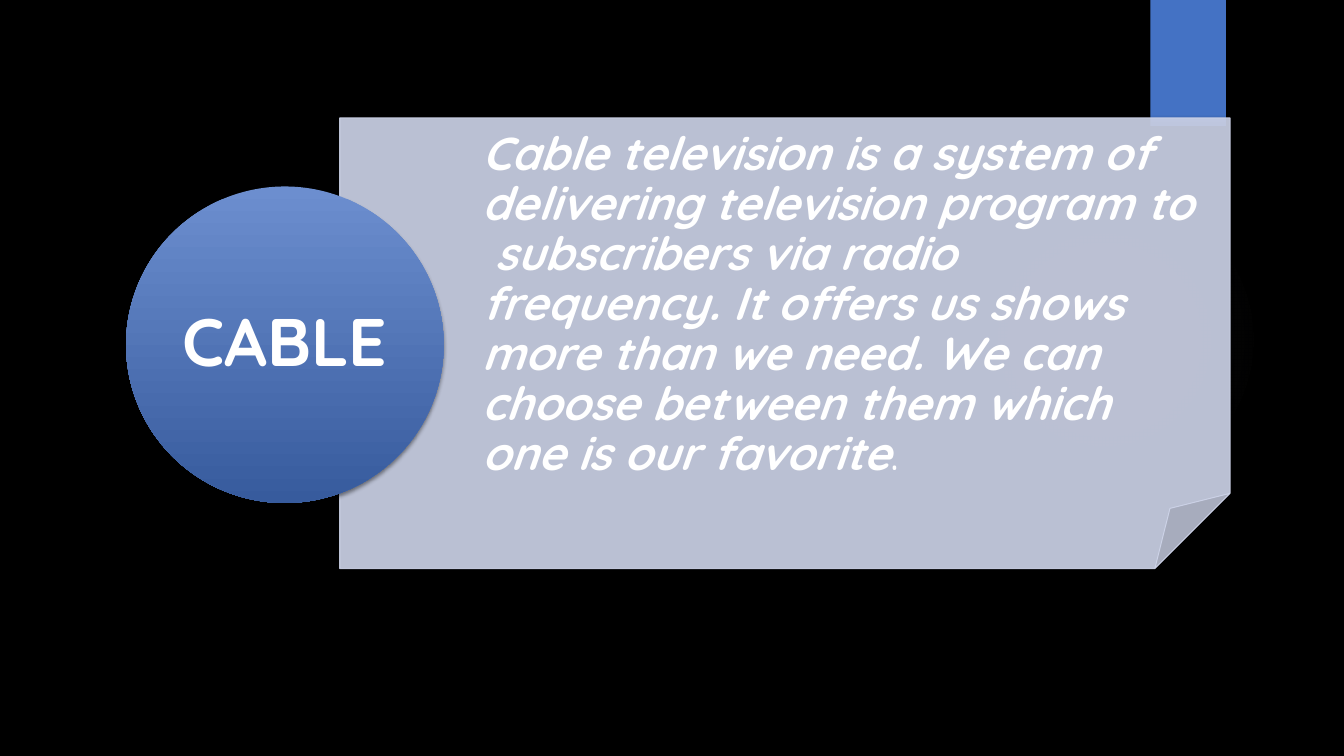
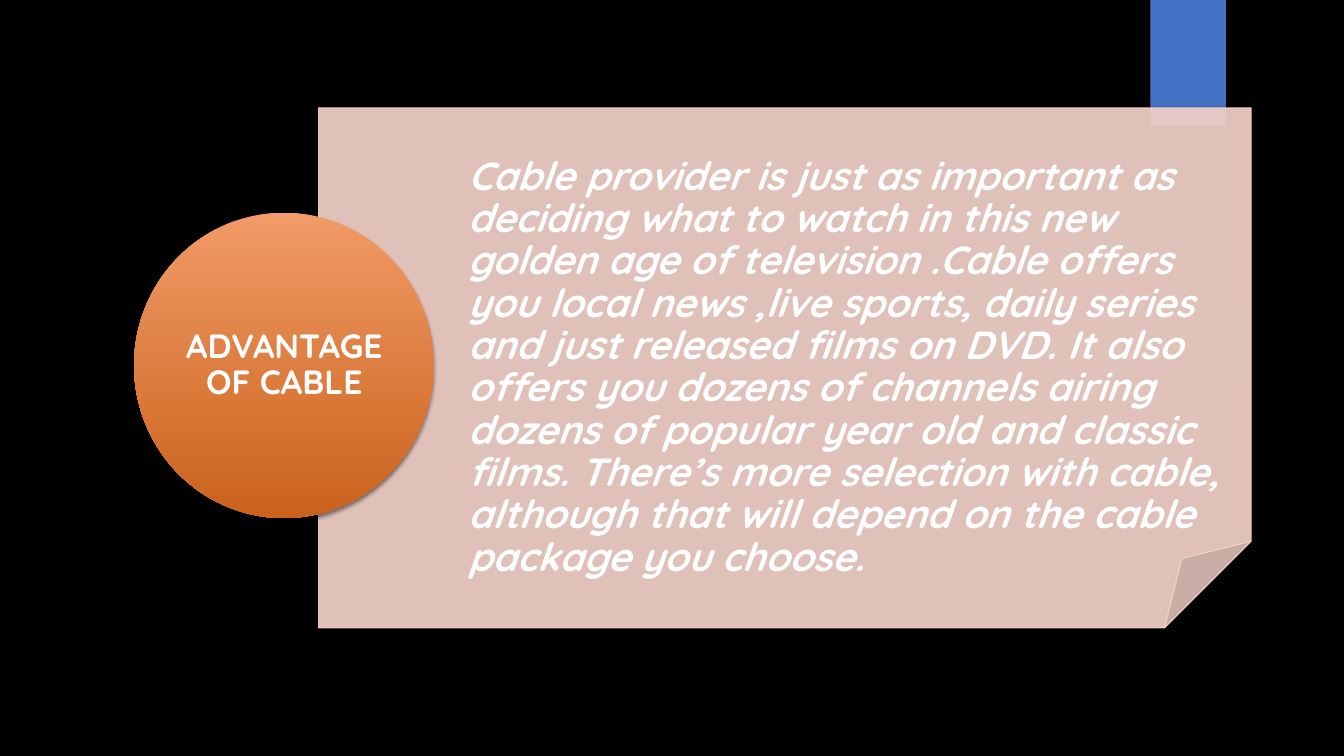
from lxml import etree
from pptx import Presentation
from pptx.dml.color import RGBColor
from pptx.enum.shapes import MSO_SHAPE as Preset
from pptx.enum.text import MSO_ANCHOR as Anchor, PP_ALIGN as Align
from pptx.oxml import parse_xml
from pptx.oxml.ns import nsdecls, qn
from pptx.util import Inches, Pt

FONT = "Quicksand"
BLACK, WHITE, BLUE, GLOW = "000000", "FFFFFF", "4472C4", "8497B0"

# Content: boxes are left, top, width, height; a run is text and emphasis
SLIDES = [
    dict(
        title="CABLE", title_size=48, title_box=(1.71, 2.31, 2.23, 2.22),
        circle=(1.25, 1.85, 3.15, 3.14), circle_colors=("6C8ECF", "375B9D"),
        note=(3.37, 1.17, 8.83, 4.47), note_color="CFD5EA",
        body_box=(4.78, 1.17, 7.42, 3.72), body_size=33, inset=0.26,
        body=[("Cable television is a system of delivering television program "
               "to  subscribers via radio frequency. It offers us shows more "
               "than we need. We can choose between them which one is our "
               "favorite", True), (".", False)],
    ),
    dict(
        title="ADVANTAGE OF CABLE", title_size=24,
        title_box=(1.77, 2.56, 2.1, 2.14),
        circle=(1.33, 2.11, 2.97, 3.03), circle_colors=("F19B67", "CA621C"),
        note=(3.16, 1.07, 9.25, 5.16), note_color="F8D7CE",
        body_box=(4.64, 1.07, 7.77, 5.16), body_size=28, inset=0.22,
        body=[("Cable provider is just as important as deciding what to watch "
               "in this new golden age of television .Cable offers you local "
               "news ,live sports, daily series and just released films on "
               "DVD. It also offers you dozens of channels airing dozens of "
               "popular year old and classic films. There’s more selection "
               "with cable, although that will depend on the cable package "
               "you choose.", True)],
    ),
]


def rgb(color):
    return RGBColor.from_string(color)


def add_shape(slide, preset, place, color=None):
    shape = slide.shapes.add_shape(preset, *map(Inches, place))
    shape.shadow.inherit = False
    shape.line.fill.background()
    if color:
        shape.fill.solid()
        shape.fill.fore_color.rgb = rgb(color)
    else:
        shape.fill.background()
    return shape


def set_gradient(shape, stops, direction):
    """Fill with stops of (percent, colour, opacity percent)."""
    marks = "".join(
        f'<a:gs pos="{at * 1000}"><a:srgbClr val="{color}">'
        f'<a:alpha val="{opacity * 1000}"/></a:srgbClr></a:gs>'
        for at, color, opacity in stops)
    props = shape.element.spPr
    props.replace(props.find(qn("a:noFill")), parse_xml(
        f'<a:gradFill {nsdecls("a")}><a:gsLst>{marks}</a:gsLst>'
        f'{direction}</a:gradFill>'))


def add_shadow(shape):
    effects = shape.element.spPr.find(qn("a:effectLst"))
    effects.append(parse_xml(
        f'<a:outerShdw {nsdecls("a")} blurRad="{Pt(3)}" dist="{Pt(2)}" '
        f'dir="5400000" algn="ctr" rotWithShape="0"><a:srgbClr val="{BLACK}">'
        '<a:alpha val="45000"/></a:srgbClr></a:outerShdw>'))


def add_text(slide, place, runs, size, inset=0, italic=False, align=Align.LEFT):
    box = slide.shapes.add_textbox(*map(Inches, place))
    frame = box.text_frame
    frame.word_wrap = True
    frame.vertical_anchor = Anchor.MIDDLE
    frame.margin_left = 0
    frame.margin_top = frame.margin_right = frame.margin_bottom = Inches(inset)
    para = frame.paragraphs[0]
    para.alignment = align
    para.line_spacing = 0.9
    for text, strong in runs:
        span = para.add_run()
        span.text = text
        font = span.font
        font.name, font.size = FONT, Pt(size)
        font.bold, font.italic = strong, strong and italic
        font.color.rgb = rgb(WHITE)


def add_backdrop(slide):
    glow = add_shape(slide, Preset.OVAL, (9.41, 1.83, 3.08, 3.08))
    set_gradient(glow, [(0, GLOW, 7), (36, GLOW, 6), (69, GLOW, 0)],
                 '<a:path path="circle"><a:fillToRect l="50000" t="50000" '
                 'r="50000" b="50000"/></a:path>')
    add_shadow(add_shape(slide, Preset.RECTANGLE, (11.41, 0, 0.75, 1.25), BLUE))


def add_note(slide, place, color):
    note = add_shape(slide, Preset.FOLDED_CORNER, place, color)
    note.line.color.rgb = rgb(color)
    note.line.width = Pt(0.75)
    for paint in note.element.spPr.iter(qn("a:srgbClr")):
        etree.SubElement(paint, qn("a:alpha")).set("val", "90000")
    add_shadow(note)


def add_circle(slide, place, colors):
    circle = add_shape(slide, Preset.OVAL, place)
    top, bottom = colors
    set_gradient(circle, [(0, top, 100), (100, bottom, 100)],
                 '<a:lin ang="5400000" scaled="0"/>')
    add_shadow(circle)


def main():
    deck = Presentation()
    deck.slide_width, deck.slide_height = Inches(13.33), Inches(7.5)
    backdrop = deck.slide_master.background.fill
    backdrop.solid()
    backdrop.fore_color.rgb = rgb(BLACK)

    for item in SLIDES:
        slide = deck.slides.add_slide(deck.slide_layouts[6])
        add_backdrop(slide)
        # Folded note with its text
        add_note(slide, item["note"], item["note_color"])
        add_text(slide, item["body_box"], item["body"], item["body_size"],
                 inset=item["inset"], italic=True)
        # Title circle
        add_circle(slide, item["circle"], item["circle_colors"])
        add_text(slide, item["title_box"], [(item["title"], True)],
                 item["title_size"], align=Align.CENTER)
    deck.save("out.pptx")


if __name__ == "__main__":
    main()
